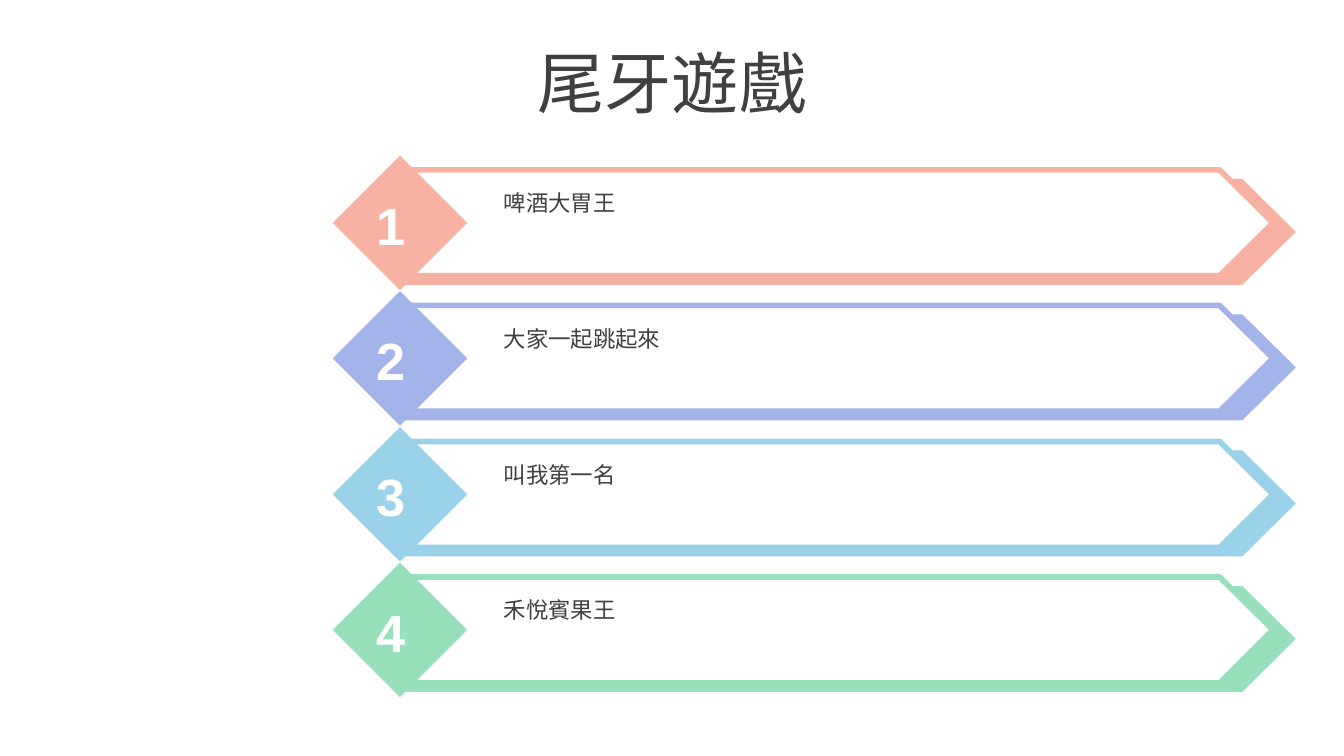
from lxml import etree
from pptx import Presentation
from pptx.dml.color import RGBColor
from pptx.enum.shapes import MSO_SHAPE
from pptx.enum.text import MSO_ANCHOR, MSO_AUTO_SIZE, PP_ALIGN
from pptx.oxml.ns import qn
from pptx.util import Cm, Pt

DIAMOND = MSO_SHAPE.DIAMOND
TOP, MIDDLE = MSO_ANCHOR.TOP, MSO_ANCHOR.MIDDLE
LEFT, CENTER = PP_ALIGN.LEFT, PP_ALIGN.CENTER
GROW = MSO_AUTO_SIZE.SHAPE_TO_FIT_TEXT

WHITE = RGBColor(0xFF, 0xFF, 0xFF)
DARK = RGBColor(0x40, 0x40, 0x40)
CORAL = RGBColor(0xF8, 0xB2, 0xA3)
PERIWINKLE = RGBColor(0xA4, 0xB4, 0xEA)
SKY = RGBColor(0x9A, 0xD3, 0xE9)
MINT = RGBColor(0x98, 0xDF, 0xBB)

TITLE_FORMAT = {"name": "Noto Sans CJK SC", "size": Pt(36)}
NUMBER_FORMAT = {"name": "Arial", "size": Pt(28), "bold": True}
GAME_FORMAT = {"name": "Noto Sans Mono", "size": Pt(12)}

GAMES = [
    ("啤酒大胃王", CORAL),
    ("大家一起跳起來", PERIWINKLE),
    ("叫我第一名", SKY),
    ("禾悅賓果王", MINT),
]
FIRST_TOP, ROW_PITCH = 2.94, 2.565
BANNER_LEFT, BANNER_HEIGHT, TIP_LENGTH = 7.63, 2.0, 1.01


def add_label(text, box, text_format, color, align, anchor):
    label = slide.shapes.add_textbox(*(Cm(length) for length in box))
    frame = label.text_frame
    frame.word_wrap = True
    frame.auto_size = GROW
    frame.vertical_anchor = anchor
    for side in ("left", "top", "right", "bottom"):
        setattr(frame, f"margin_{side}", Cm(0.13))
    paragraph = frame.paragraphs[0]
    paragraph.alignment = align
    run = paragraph.add_run()
    run.text = text
    for attribute, value in text_format.items():
        setattr(run.font, attribute, value)
    run.font.color.rgb = color
    east_asian = etree.SubElement(run.font._element, qn("a:ea"))
    east_asian.set("typeface", text_format["name"])


def add_banner(shapes, top, body_width, fill):
    """Draw a bar with a pointed right end; body_width excludes the point."""
    shoulder = BANNER_LEFT + body_width
    bottom = top + BANNER_HEIGHT
    corners = [
        (shoulder, top),
        (shoulder + TIP_LENGTH, top + BANNER_HEIGHT / 2),
        (shoulder, bottom),
        (BANNER_LEFT, bottom),
    ]
    builder = shapes.build_freeform(Cm(BANNER_LEFT), Cm(top))
    builder.add_line_segments([(Cm(x), Cm(y)) for x, y in corners], close=True)
    banner = builder.convert_to_shape()
    banner.shadow.inherit = False
    banner.fill.solid()
    banner.fill.fore_color.rgb = fill
    banner.line.fill.background()
    return banner


presentation = Presentation()
presentation.slide_width = Cm(25.4)
presentation.slide_height = Cm(14.28)
slide = presentation.slides.add_slide(presentation.slide_layouts[6])

add_label("尾牙遊戲", (0, 0.54, 25.4, 2.0), TITLE_FORMAT, DARK, CENTER, MIDDLE)

for index, (game, color) in enumerate(GAMES):
    top = round(FIRST_TOP + index * ROW_PITCH, 2)
    row = slide.shapes.add_group_shape().shapes

    add_banner(row, top + 0.44, 15.85, color)
    front = add_banner(row, top + 0.27, 15.42, WHITE)
    front.line.color.rgb = color
    front.line.width = Pt(3)

    marker = row.add_shape(DIAMOND, Cm(6.29), Cm(top), Cm(2.54), Cm(2.54))
    marker.shadow.inherit = False
    marker.fill.solid()
    marker.fill.fore_color.rgb = color
    marker.line.fill.background()

    add_label(f"{index + 1} ", (6.96, top + 0.57, 1.12, 1.45),
              NUMBER_FORMAT, WHITE, CENTER, MIDDLE)
    add_label(game, (9.39, top + 0.51, 13.2, 0.81),
              GAME_FORMAT, DARK, LEFT, TOP)

presentation.save("out.pptx")
